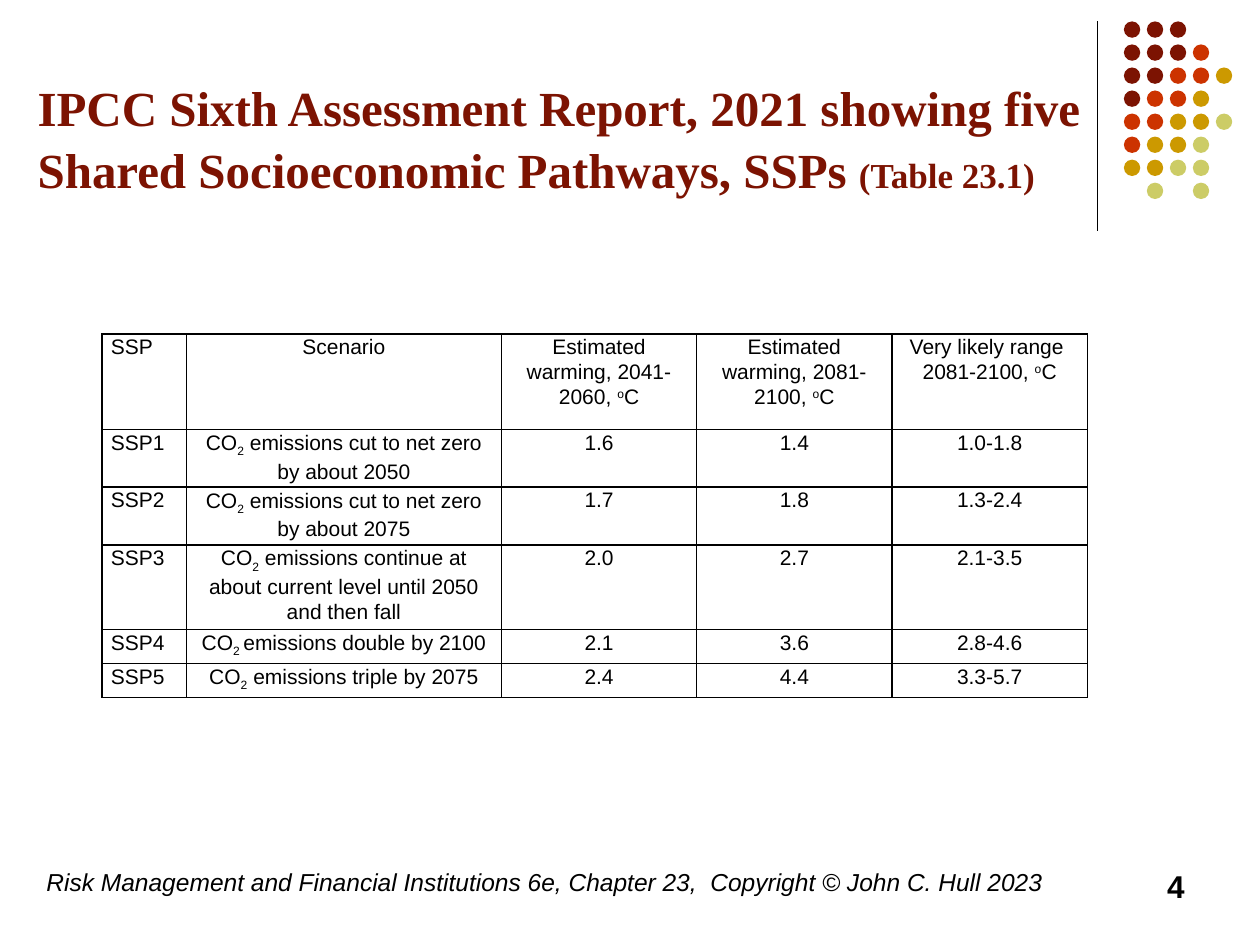
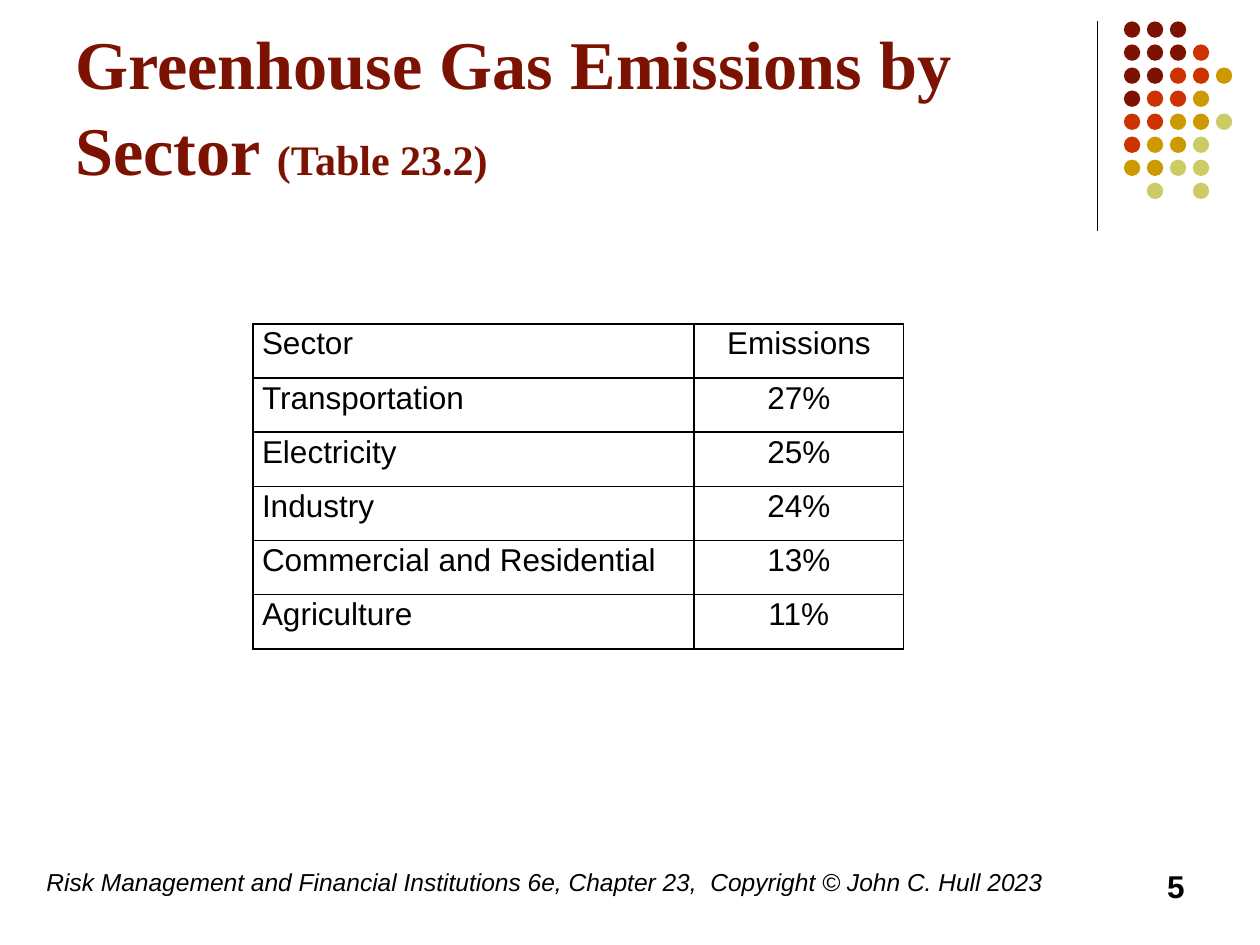
from lxml import etree
from pptx import Presentation
from pptx.dml.color import RGBColor
from pptx.enum.shapes import MSO_CONNECTOR, MSO_SHAPE
from pptx.enum.text import MSO_ANCHOR, PP_ALIGN
from pptx.oxml.ns import qn
from pptx.util import Inches, Pt

COLORS = {
    "maroon": "7C1302",
    "red": "CC3300",
    "gold": "CC9900",
    "olive": "CCCC66",
    "black": "000000",
}

# Text formats
TITLE = {"name": "Times New Roman", "bold": True}
FOOTER = {"name": "Arial", "size": Pt(14), "italic": True}
PAGE_NUMBER = {"name": "Arial", "size": Pt(18), "bold": True}
CELL_MARGINS = {"margin_left": Inches(0.07), "margin_right": Inches(0.07),
                "margin_top": 0, "margin_bottom": 0}
CELL_SPACING = {"line_spacing": 1.07, "space_after": Pt(8)}

COPYRIGHT = ("Risk Management and Financial Institutions 6e, Chapter 23,  "
             "Copyright © John C. Hull 2023")

# Dot ornament: one letter per dot colour, a dot for an empty place
DOT_ROWS = ["mmm..", "mmmr.", "mmrrg", "mrrg.", "rrggo", "rggo.", "ggoo.", ".o.o."]
DOT_COLORS = {"m": "maroon", "r": "red", "g": "gold", "o": "olive"}
DOT_SIZE = 0.13
DOT_PITCH_X = 0.73 / 4
DOT_PITCH_Y = 1.28 / 7

# Slide content: ~ encloses superscripts and subscripts in the cells
SLIDES = [
    {
        "title": "IPCC Sixth Assessment Report, 2021 showing five "
                 "Shared Socioeconomic Pathways, SSPs ",
        "reference": "(Table 23.1)",
        "title_sizes": (28, 20),
        "title_box": (0.2, 0.2, 8.56, 1.42),
        "number": "4",
        "table_at": (0.81, 2.65),
        "columns": [0.67, 2.5, 1.55, 1.55, 1.55],
        "row_heights": [0.76, 0.45, 0.45, 0.63, 0.27, 0.27],
        "cell_size": 12,
        "rows": [
            ["SSP", "Scenario", "Estimated warming, 2041-2060, ~o~C",
             "Estimated warming, 2081-2100, ~o~C", "Very likely range  2081-2100, ~o~C"],
            ["SSP1", "CO~2~ emissions cut to net zero by about 2050", "1.6", "1.4", "1.0-1.8"],
            ["SSP2", "CO~2~ emissions cut to net zero by about 2075", "1.7", "1.8", "1.3-2.4"],
            ["SSP3", "CO~2~ emissions continue at about current level until 2050 and then fall",
             "2.0", "2.7", "2.1-3.5"],
            ["SSP4", "CO~2 ~emissions double by 2100", "2.1", "3.6", "2.8-4.6"],
            ["SSP5", "CO~2~ emissions triple by 2075", "2.4", "4.4", "3.3-5.7"],
        ],
    },
    {
        "title": "Greenhouse Gas Emissions by Sector ",
        "reference": "(Table 23.2)",
        "title_sizes": (39, 24),
        "title_box": (0.5, 0.13, 8.25, 1.42),
        "number": "5",
        "table_at": (2.01, 2.57),
        "columns": [3.5, 1.66],
        "row_heights": [0.43] * 6,
        "cell_size": 18,
        "rows": [
            ["Sector", "Emissions"],
            ["Transportation", "27%"],
            ["Electricity", "25%"],
            ["Industry", "24%"],
            ["Commercial and Residential", "13%"],
            ["Agriculture", "11%"],
        ],
    },
]


def add_run(paragraph, text, formats, color="black"):
    run = paragraph.add_run()
    run.text = text
    for attribute, value in formats.items():
        setattr(run.font, attribute, value)
    run.font.color.rgb = RGBColor.from_string(COLORS[color])
    return run


def add_paragraph_box(slide, box, anchor, align):
    frame = slide.shapes.add_textbox(*map(Inches, box)).text_frame
    frame.word_wrap = True
    frame.vertical_anchor = anchor
    frame.paragraphs[0].alignment = align
    return frame.paragraphs[0]


prs = Presentation()
prs.slide_width, prs.slide_height = Inches(10), Inches(7.5)

for content in SLIDES:
    slide = prs.slides.add_slide(prs.slide_layouts[6])

    # Vertical rule beside the title
    rule = slide.shapes.add_connector(
        MSO_CONNECTOR.STRAIGHT, Inches(8.71), Inches(0.17), Inches(8.71), Inches(1.83))
    rule.line.color.rgb = RGBColor.from_string(COLORS["black"])
    rule.line.width = Pt(0.75)
    etree.SubElement(rule.element.spPr, qn("a:effectLst"))

    # Dot ornament
    ornament = slide.shapes.add_group_shape()
    for row, letters in enumerate(DOT_ROWS):
        for column, letter in enumerate(letters):
            if letter not in DOT_COLORS:
                continue
            dot = ornament.shapes.add_shape(
                MSO_SHAPE.OVAL,
                Inches(8.92 + column * DOT_PITCH_X), Inches(0.17 + row * DOT_PITCH_Y),
                Inches(DOT_SIZE), Inches(DOT_SIZE))
            dot.shadow.inherit = False
            dot.fill.solid()
            dot.fill.fore_color.rgb = RGBColor.from_string(COLORS[DOT_COLORS[letter]])
            dot.line.fill.background()

    # Title with its table reference
    title = add_paragraph_box(slide, content["title_box"], MSO_ANCHOR.BOTTOM, PP_ALIGN.LEFT)
    title.line_spacing = 1.05
    for part, size in zip(("title", "reference"), content["title_sizes"]):
        add_run(title, content[part], {**TITLE, "size": Pt(size)}, "maroon")

    # Footer and page number
    footer = add_paragraph_box(slide, (0.27, 6.83, 8.27, 0.5), MSO_ANCHOR.TOP, PP_ALIGN.LEFT)
    add_run(footer, COPYRIGHT, FOOTER)
    number = add_paragraph_box(slide, (7.17, 6.83, 2.33, 0.5), MSO_ANCHOR.TOP, PP_ALIGN.RIGHT)
    add_run(number, content["number"], PAGE_NUMBER)

    # Table grid
    rows, columns, heights = content["rows"], content["columns"], content["row_heights"]
    table = slide.shapes.add_table(
        len(rows), len(columns), *map(Inches, content["table_at"]),
        Inches(sum(columns)), Inches(sum(heights))).table
    table.first_row = table.horz_banding = False
    for column, width in zip(table.columns, columns):
        column.width = Inches(width)
    for row, height in zip(table.rows, heights):
        row.height = Inches(height)

    # Table cells
    cell_font = {"name": "Arial", "size": Pt(content["cell_size"])}
    for r, texts in enumerate(rows):
        for c, text in enumerate(texts):
            cell = table.cell(r, c)
            cell.fill.background()
            for attribute, value in CELL_MARGINS.items():
                setattr(cell, attribute, value)

            paragraph = cell.text_frame.paragraphs[0]
            paragraph.alignment = PP_ALIGN.CENTER if c else PP_ALIGN.LEFT
            for attribute, value in CELL_SPACING.items():
                setattr(paragraph, attribute, value)
            for i, piece in enumerate(text.split("~")):
                run = add_run(paragraph, piece, cell_font)
                if i % 2:
                    baseline = "30000" if piece == "o" else "-25000"
                    run.font._element.set("baseline", baseline)

            # Cell borders come before the fill
            properties = cell._tc.get_or_add_tcPr()
            for i, side in enumerate(("lnL", "lnR", "lnT", "lnB")):
                border = etree.Element(qn(f"a:{side}"), w=str(Pt(1)))
                fill = etree.SubElement(border, qn("a:solidFill"))
                etree.SubElement(fill, qn("a:srgbClr"), val=COLORS["black"])
                properties.insert(i, border)

prs.save("out.pptx")
